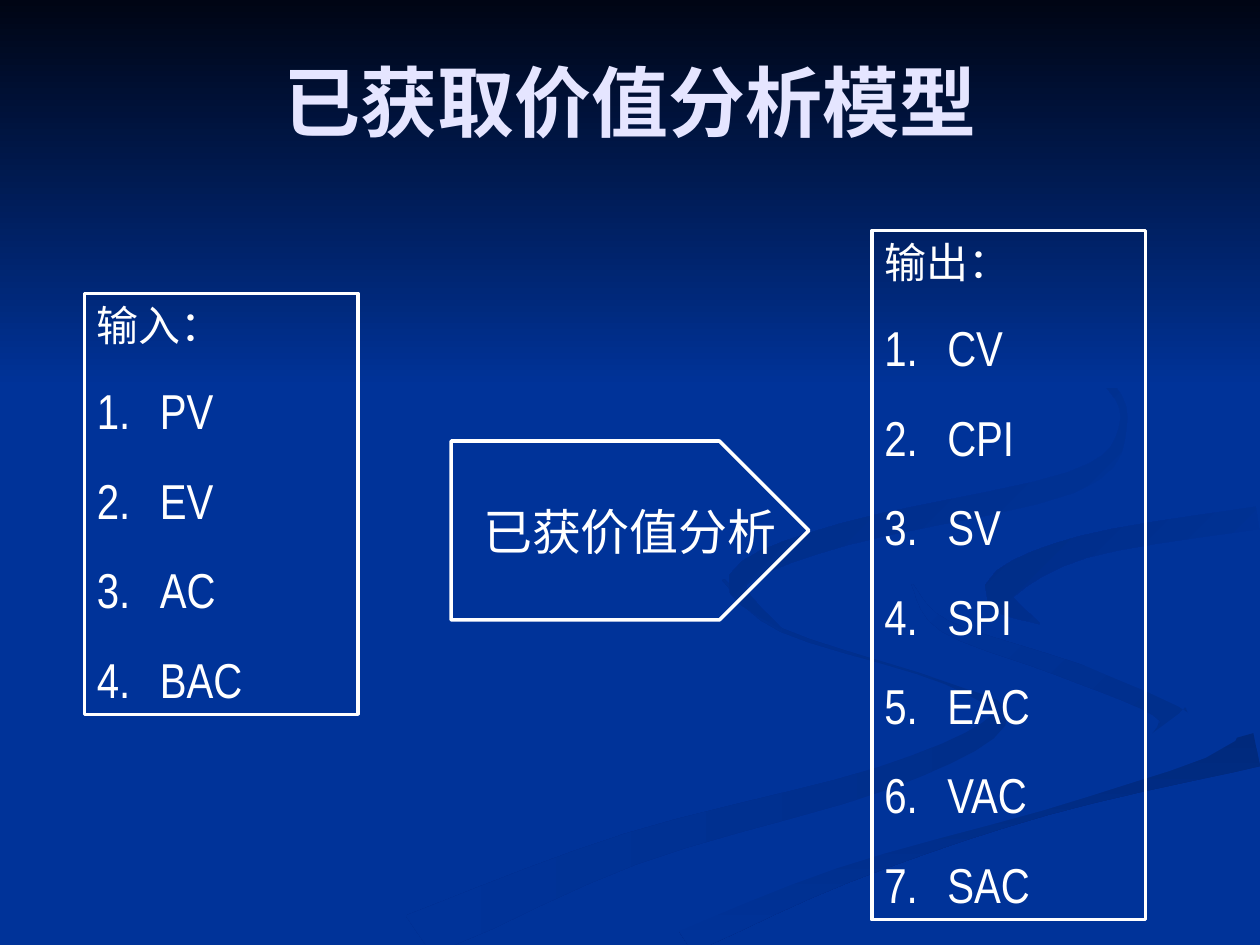
from dataclasses import dataclass
from math import hypot

from lxml.etree import SubElement
from pptx import Presentation
from pptx.dml.color import RGBColor
from pptx.enum.shapes import MSO_SHAPE
from pptx.enum.text import MSO_ANCHOR, MSO_AUTO_SIZE, PP_ALIGN
from pptx.oxml.ns import qn
from pptx.shapes.autoshape import Shape
from pptx.slide import Slide
from pptx.text.text import _Paragraph as Paragraph
from pptx.util import Inches, Pt

COLORS = {
    "background": "003399",
    "night": "000514",
    "shade": "002E8A",
    "deep": "00297C",
    "soft": "002C85",
    "curl": "002B81",
    "title": "E5E5FF",
    "white": "FFFFFF",
}
LATIN_FONT = "Arial Narrow"
ASIAN_FONT = "Noto Sans CJK SC"
WIDTH, HEIGHT = 10, 7.5
STEPS = 5

Points = list[tuple[float, float]]
Spine = list[tuple[float, float, float]]


@dataclass
class Ribbon:
    start: str
    end: str
    angle: int
    spine: Spine


@dataclass
class ListBox:
    left: float
    top: float
    height: float
    heading: str
    items: list[str]


RIBBONS = [
    Ribbon("shade", "background", 180, [
        (5.74, 4.6, 0.02), (6.2, 5, 0.03), (7.5, 5.42, 0.02), (7.92, 5.72, 0.14),
        (7, 6.18, 0.19), (5, 6.74, 0.26), (3.3, 7.45, 0.4)]),
    Ribbon("shade", "background", 225, [
        (7.24, 4.64, 0.01), (7.5, 4.97, 0.1), (8.4, 5.29, 0.14), (9.2, 5.59, 0.2),
        (9.3, 5.81, 0.25), (8.95, 6.04, 0.02)]),
    Ribbon("deep", "background", 90, [
        (9.98, 5.95, 0.27), (8.3, 6.38, 0.18), (6.7, 6.9, 0.22), (5.4, 7.45, 0.3)]),
    Ribbon("background", "background", 0, [
        (9.99, 3.95, 0.15), (8.3, 4.22, 0.15), (7.55, 4.6, 0.5), (8.6, 5.17, 0.2),
        (9.7, 5.6, 0.5), (8.6, 6.23, 0.2), (6.6, 6.8, 0.2), (5, 7.45, 0.2)]),
    Ribbon("background", "soft", 225, [
        (9.98, 4.11, 0.18), (8.6, 4.34, 0.18), (7.93, 4.69, 0.24), (8.25, 4.95, 0.01)]),
    Ribbon("background", "curl", 225, [
        (7.62, 2.33, 0.01), (8.7, 2.96, 0.06), (8.91, 3.4, 0.06), (8.5, 3.83, 0.17),
        (6.7, 4.24, 0.18), (5.86, 4.6, 0.16), (6.2, 4.99, 0.01)]),
]
LIST_BOXES = [
    ListBox(0.67, 2.33, 3.34, "输入：", ["PV", "EV", "AC", "BAC"]),
    ListBox(6.92, 1.83, 5.47, "输出：", ["CV", "CPI", "SV", "SPI", "EAC", "VAC", "SAC"]),
]


def color(name: str) -> RGBColor:
    return RGBColor.from_string(COLORS[name])


def smooth_spine(spine: Spine) -> Spine:
    padded = [spine[0], *spine, spine[-1]]
    curve = []
    for a, b, c, d in zip(padded, padded[1:], padded[2:], padded[3:]):
        for step in range(STEPS):
            t = step / STEPS
            curve.append(tuple(
                q + t * (r - p) / 2 + t**2 * (2 * p - 5 * q + 4 * r - s) / 2
                + t**3 * (3 * q - p - 3 * r + s) / 2
                for p, q, r, s in zip(a, b, c, d)))
    return curve + [spine[-1]]


def ribbon_outline(spine: Spine) -> Points:
    curve = smooth_spine(spine)
    sides = ([], [])
    for index, (x, y, width) in enumerate(curve):
        before, after = curve[max(index - 1, 0)], curve[min(index + 1, len(curve) - 1)]
        dx, dy = after[0] - before[0], after[1] - before[1]
        reach = width / 2 / hypot(dx, dy)
        for side, sign in zip(sides, (1, -1)):
            side.append((min(x - sign * dy * reach, WIDTH), min(y + sign * dx * reach, HEIGHT)))
    return sides[0] + sides[1][::-1]


def add_outline(page: Slide, points: Points) -> Shape:
    corners = [(Inches(x), Inches(y)) for x, y in points]
    builder = page.shapes.build_freeform(*corners[0])
    builder.add_line_segments(corners[1:], close=True)
    shape = builder.convert_to_shape()
    shape.shadow.inherit = False
    return shape


def paint(shape: Shape, start: str, end: str, angle: int) -> None:
    shape.line.fill.background()
    if start == end:
        shape.fill.solid()
        shape.fill.fore_color.rgb = color(start)
        return
    shape.fill.gradient()
    shape.fill.gradient_angle = 360 - angle
    for stop, name in zip(shape.fill.gradient_stops, (start, end)):
        stop.color.rgb = color(name)


def frame_white(shape: Shape) -> None:
    shape.shadow.inherit = False
    shape.fill.background()
    shape.line.color.rgb = color("white")
    shape.line.width = Pt(2)


def add_span(para: Paragraph, text: str, size: int, latin: str = LATIN_FONT,
             tint: str = "white", bold: bool = False) -> None:
    span = para.add_run()
    span.text = text
    span.font.size = Pt(size)
    span.font.bold = bold
    span.font.color.rgb = color(tint)
    span.font.name = latin
    SubElement(span.font._element, qn("a:ea"), typeface=ASIAN_FONT)


def number(para: Paragraph) -> None:
    properties = para._p.get_or_add_pPr()
    properties.set("marL", str(Inches(0.5)))
    properties.set("indent", str(-Inches(0.5)))
    SubElement(properties, qn("a:buFont"), typeface=LATIN_FONT)
    SubElement(properties, qn("a:buAutoNum"), type="arabicPeriod")


def add_title(page: Slide, text: str) -> None:
    box = page.shapes.add_textbox(Inches(0.75), Inches(0.17), Inches(8.5), Inches(1.25))
    box.text_frame.word_wrap = True
    box.text_frame.vertical_anchor = MSO_ANCHOR.MIDDLE
    para = box.text_frame.paragraphs[0]
    para.alignment = PP_ALIGN.CENTER
    add_span(para, text, 44, ASIAN_FONT, "title", True)


def add_list_box(page: Slide, content: ListBox) -> None:
    box = page.shapes.add_shape(MSO_SHAPE.RECTANGLE, Inches(content.left), Inches(content.top),
                                Inches(2.17), Inches(content.height))
    frame_white(box)
    frame = box.text_frame
    frame.word_wrap = True
    frame.auto_size = MSO_AUTO_SIZE.SHAPE_TO_FIT_TEXT
    frame.vertical_anchor = MSO_ANCHOR.TOP
    heading = frame.paragraphs[0]
    heading.alignment = PP_ALIGN.LEFT
    add_span(heading, content.heading, 24)
    for item in content.items:
        para = frame.add_paragraph()
        para.alignment = PP_ALIGN.LEFT
        para.space_before = Pt(17.5)
        number(para)
        add_span(para, item, 28)


def add_process_arrow(page: Slide, text: str) -> None:
    left, top, width, height = 3.58, 3.5, 2.84, 1.42
    right, bottom, tip = left + width, top + height, height / 2
    arrow = add_outline(page, [(left, top), (right - tip, top), (right, top + tip),
                               (right - tip, bottom), (left, bottom)])
    frame_white(arrow)
    arrow.text_frame.word_wrap = False
    arrow.text_frame.vertical_anchor = MSO_ANCHOR.MIDDLE
    para = arrow.text_frame.paragraphs[0]
    para.alignment = PP_ALIGN.CENTER
    add_span(para, text, 28)


def main() -> None:
    deck = Presentation()
    deck.slide_width, deck.slide_height = Inches(WIDTH), Inches(HEIGHT)
    page = deck.slides.add_slide(deck.slide_layouts[6])
    page.background.fill.solid()
    page.background.fill.fore_color.rgb = color("background")
    for ribbon in RIBBONS:
        shape = add_outline(page, ribbon_outline(ribbon.spine))
        paint(shape, ribbon.start, ribbon.end, ribbon.angle)
    sky = page.shapes.add_shape(MSO_SHAPE.RECTANGLE, 0, 0, Inches(WIDTH), Inches(3.08))
    sky.shadow.inherit = False
    paint(sky, "night", "background", 90)
    add_title(page, "已获取价值分析模型")
    for content in LIST_BOXES:
        add_list_box(page, content)
    add_process_arrow(page, "已获价值分析")
    deck.save("out.pptx")


if __name__ == "__main__":
    main()
